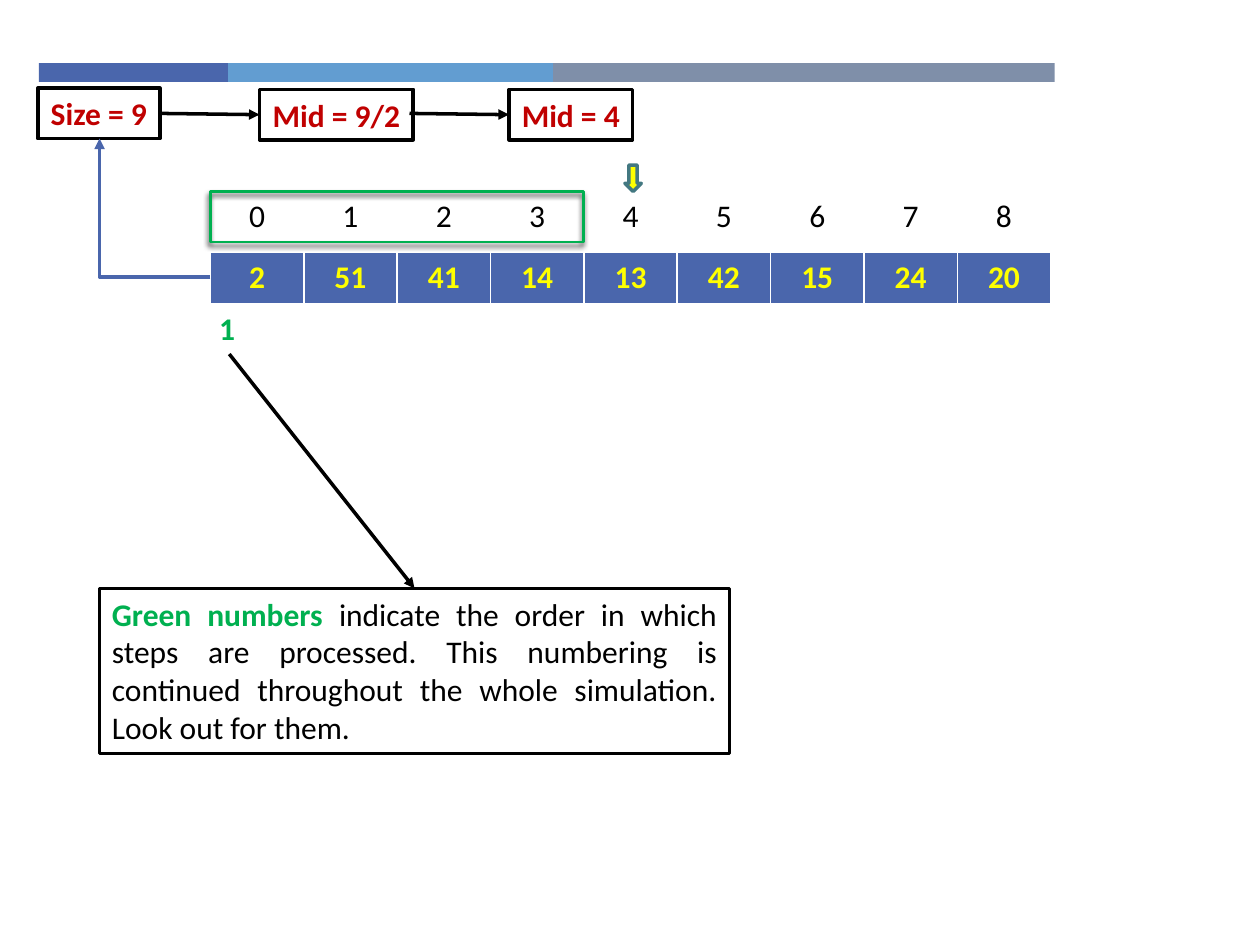
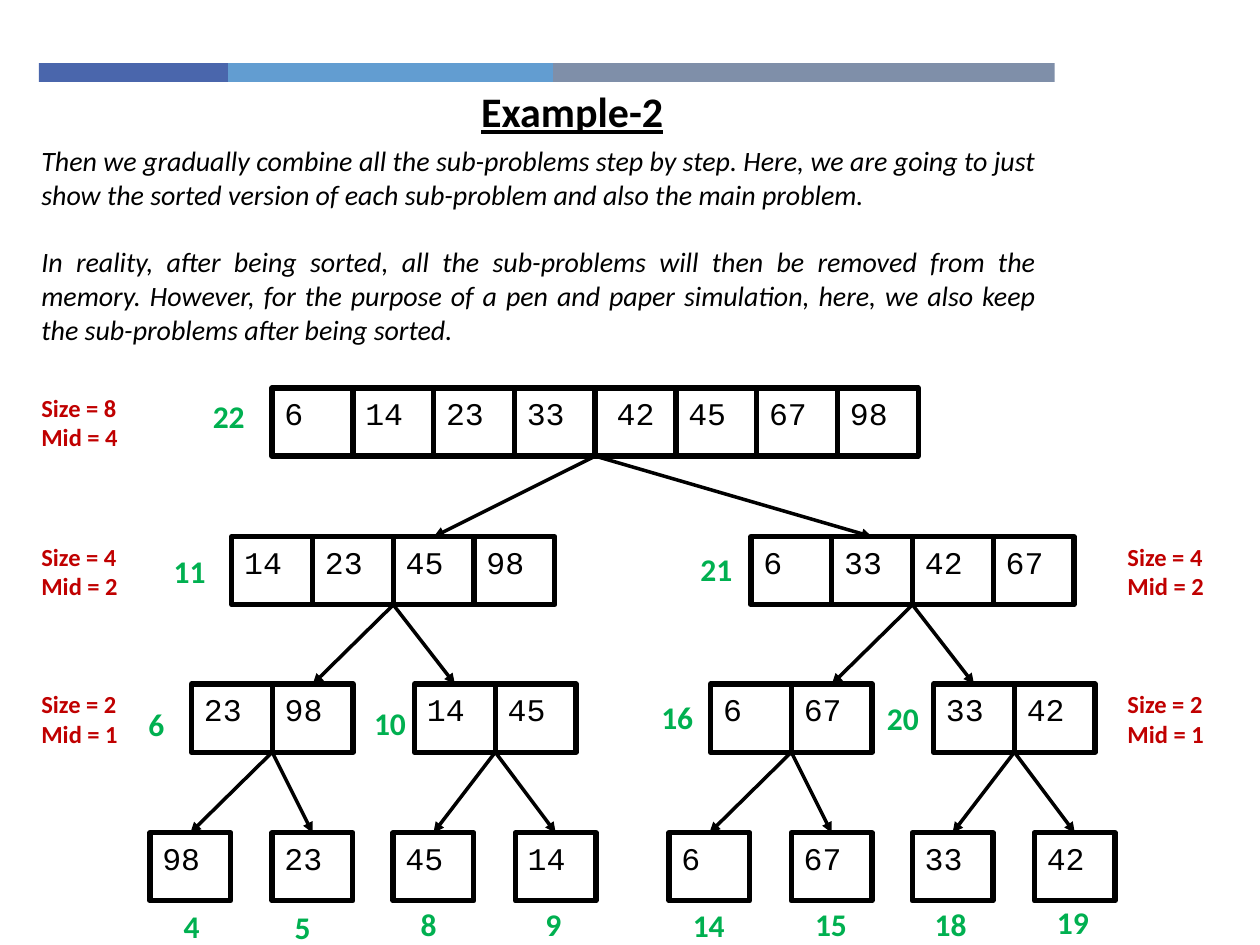
from lxml.etree import SubElement
from pptx import Presentation
from pptx.dml.color import RGBColor
from pptx.enum.shapes import MSO_CONNECTOR as LINK, MSO_SHAPE as SHAPE
from pptx.enum.text import MSO_ANCHOR as ANCHOR, MSO_AUTO_SIZE as FIT, PP_ALIGN as ALIGN
from pptx.oxml.ns import qn
from pptx.util import Emu, Inches, Pt

COLUMNS, ROWS = 100, 75
UNIT = Inches(0.1)
BLACK, WHITE, BLUE = "000000", "FFFFFF", "4A66AC"
RED, GREEN, YELLOW = "C00000", "00B050", "FFFF00"
BANDS = [(15, BLUE), (25.8, "629DD1"), (39.8, "7F8FA9")]

CELL_WIDTH, CELL_HEIGHT = 6.41, 5.4
LEVELS = [30.8, 42.6, 54.3, 66.1]
HALF_SHIFT = 41.2


def grid(*lengths):
    return [Emu(round(length * UNIT)) for length in lengths]


def colour(code):
    return RGBColor.from_string(code)


def write(frame, lines, size=18, code=BLACK, bold=False, italic=False, underline=False,
          align=ALIGN.LEFT, face="Calibri", wrap=True, gap=0):
    frame.word_wrap = wrap
    frame.vertical_anchor = ANCHOR.TOP
    for index, line in enumerate(lines):
        para = frame.add_paragraph() if index else frame.paragraphs[0]
        para.text = line
        para.alignment = align
        para.space_before = Pt(gap if index else 0)
        font = para.font
        font.name, font.size = face, Pt(size)
        font.bold, font.italic, font.underline = bold, italic, underline
        font.color.rgb = colour(code)


def add_text(page, area, lines, **style):
    box = page.shapes.add_textbox(*grid(*area))
    write(box.text_frame, lines, **style)
    box.text_frame.auto_size = FIT.SHAPE_TO_FIT_TEXT
    return box


def add_box(page, area, fill=None, line=None, width=2, kind=SHAPE.RECTANGLE):
    box = page.shapes.add_shape(kind, *grid(*area))
    box.shadow.inherit = False
    if fill:
        box.fill.solid()
        box.fill.fore_color.rgb = colour(fill)
    else:
        box.fill.background()
    if line:
        box.line.color.rgb = colour(line)
        box.line.width = Pt(width)
    else:
        box.line.fill.background()
    return box


def add_framed_text(page, area, text, **style):
    box = add_box(page, area, WHITE, BLACK)
    write(box.text_frame, [text], bold=True, **style)
    box.text_frame.auto_size = FIT.SHAPE_TO_FIT_TEXT
    return box


def add_arrow(page, start, end, code=BLACK, bent=False):
    kind = LINK.ELBOW if bent else LINK.STRAIGHT
    arrow = page.shapes.add_connector(kind, *grid(*start, *end))
    arrow.line.color.rgb = colour(code)
    arrow.line.width = Pt(2)
    properties = arrow._element.spPr
    if bent:
        properties.find(qn("a:prstGeom")).set("prst", "bentConnector2")
    SubElement(properties.find(qn("a:ln")), qn("a:tailEnd"), type="triangle")
    SubElement(properties, qn("a:effectLst"))


def add_shadow(box):
    effects = box._element.spPr.find(qn("a:effectLst"))
    shadow = SubElement(effects, qn("a:outerShdw"), blurRad=str(Pt(3)), dist=str(Pt(2)),
                        dir=str(110 * 60000), rotWithShape="0")
    tint = SubElement(shadow, qn("a:srgbClr"), val=BLACK)
    SubElement(tint, qn("a:alpha"), val="75000")


def add_row(page, area, values, fill=None, code=BLACK, bold=False):
    table = page.shapes.add_table(1, len(values), *grid(*area)).table
    for cell, value in zip(table.rows[0].cells, values):
        write(cell.text_frame, [str(value)], code=code, bold=bold, align=ALIGN.CENTER)
        cell.vertical_anchor = ANCHOR.MIDDLE
        if fill:
            cell.fill.solid()
            cell.fill.fore_color.rgb = colour(fill)
        else:
            cell.fill.background()


def add_step(page, number, left, top):
    width = 3.1 if number < 10 else 4.8
    add_text(page, (left, top, width, 4), [str(number)], code=GREEN, bold=True)


def add_page(deck):
    page = deck.slides.add_slide(deck.slide_layouts[6])
    left = 3.1
    for width, code in BANDS:
        add_box(page, (left, 5, width, 1.5), code)
        left += width
    return page


def add_group(page, values, left, level):
    for index, value in enumerate(values):
        area = (left + index * CELL_WIDTH, LEVELS[level], CELL_WIDTH, CELL_HEIGHT)
        cell = add_box(page, area, line=BLACK, width=3)
        align = ALIGN.CENTER if index == 4 else ALIGN.LEFT
        write(cell.text_frame, [str(value)], face="Courier New", wrap=False, align=align)


def link_groups(page, parent, child):
    (values, left, level), (inner, inner_left, _) = parent, child
    middle = left + len(values) * CELL_WIDTH / 2
    target = inner_left + len(inner) * CELL_WIDTH / 2
    if len(inner) > 1:
        target += CELL_WIDTH / 2 if target < middle else -CELL_WIDTH / 2
    add_arrow(page, (middle, LEVELS[level] + CELL_HEIGHT), (target, LEVELS[level + 1]))


def add_half(page, root, shift, four, pairs, leaves):
    top = (four, 18.4 + shift, 1)
    groups = [top]
    links = []
    for index, (pair, left) in enumerate(zip(pairs, (15.2, 32.9))):
        middle = (pair, left + shift, 2)
        groups.append(middle)
        links.append((top, middle))
        for leaf, leaf_left in list(zip(leaves, (11.9, 21.6, 31.2, 40.9)))[2 * index:2 * index + 2]:
            bottom = ([leaf], leaf_left + shift, 3)
            groups.append(bottom)
            links.append((middle, bottom))
    for group in groups:
        add_group(page, *group)
    for parent, child in [(root, top)] + links:
        link_groups(page, parent, child)


def build_split_page(deck):
    page = add_page(deck)
    left, width, cell = 16.7, 66.7, 7.4
    add_row(page, (left, 20, width, 4.1), [2, 51, 41, 14, 13, 42, 15, 24, 20],
            BLUE, YELLOW, True)
    add_row(page, (left, 15.2, width, 4), range(9))
    for text, area in [("Size = 9", (3, 7, 9.7, 4)),
                       ("Mid = 9/2", (20.6, 7.1, 12.2, 4)),
                       ("Mid = 4", (40.4, 7.1, 9.8, 4))]:
        add_framed_text(page, area, text, code=RED, align=ALIGN.CENTER)
    for start in (12.7, 32.5):
        add_arrow(page, (start, 9), (start + 7.9, 9.1))
    add_box(page, (49.6, 13.1, 1.3, 2.1), YELLOW, "437881", kind=SHAPE.DOWN_ARROW)
    add_arrow(page, (left, 22), (7.9, 11), BLUE, bent=True)
    add_shadow(add_box(page, (left, 15.2, 4 * cell, 4), line=GREEN, width=1.5))
    add_step(page, 1, 16.4, 24)
    add_arrow(page, (18.2, 28.1), (32.9, 46.7))
    note = add_framed_text(page, (7.9, 46.7, 50, 13.1), "Green numbers ",
                           code=GREEN, align=ALIGN.JUSTIFY)
    span = note.text_frame.paragraphs[0].add_run()
    span.text = ("indicate the order in which steps are processed. This numbering is "
                 "continued throughout the whole simulation. Look out for them.")
    span.font.bold = False
    span.font.color.rgb = colour(BLACK)


def build_merge_page(deck):
    page = add_page(deck)
    root = ([6, 14, 23, 33, 42, 45, 67, 98], 21.6, 0)
    add_group(page, *root)
    add_half(page, root, 0, [14, 23, 45, 98], [[23, 98], [14, 45]], [98, 23, 45, 14])
    add_half(page, root, HALF_SHIFT, [6, 33, 42, 67], [[6, 67], [33, 42]], [6, 67, 33, 42])
    for left, levels in [(2.3, (0, 1, 2)), (88.5, (1, 2))]:
        for level in levels:
            size = 8 // 2 ** level
            add_text(page, (left, LEVELS[level] - 0.1, 8.6, 5.7),
                     [f"Size = {size}", f"Mid = {size // 2}"], size=14, code=RED, bold=True)
    add_text(page, (2.3, 10.9, 80.9, 17.2), [
        "Then we gradually combine all the sub-problems step by step. Here, we are going to "
        "just show the sorted version of each sub-problem and also the main problem.",
        "In reality, after being sorted, all the sub-problems will then be removed from the "
        "memory. However, for the purpose of a pen and paper simulation, here, we also keep "
        "the sub-problems after being sorted.",
    ], size=16, italic=True, align=ALIGN.JUSTIFY, gap=19.5)
    add_text(page, (37.2, 6.3, 16.6, 5), ["Example-2"], size=24, bold=True,
             underline=True, wrap=False)
    for step in [(4, 13.6, 71.5), (5, 22.4, 71.6), (6, 10.8, 55.5), (8, 32.4, 71.3),
                 (9, 42.3, 71.3), (10, 28.7, 55.4), (11, 12.8, 43.3), (14, 54, 71.4),
                 (15, 63.7, 71.3), (16, 51.5, 54.9), (18, 73.2, 71.3), (19, 82.9, 71.2),
                 (20, 69.4, 55), (21, 54.6, 43.2), (22, 15.9, 31)]:
        add_step(page, *step)


def main():
    deck = Presentation()
    deck.slide_width, deck.slide_height = grid(COLUMNS, ROWS)
    build_split_page(deck)
    build_merge_page(deck)
    deck.save("out.pptx")


main()
